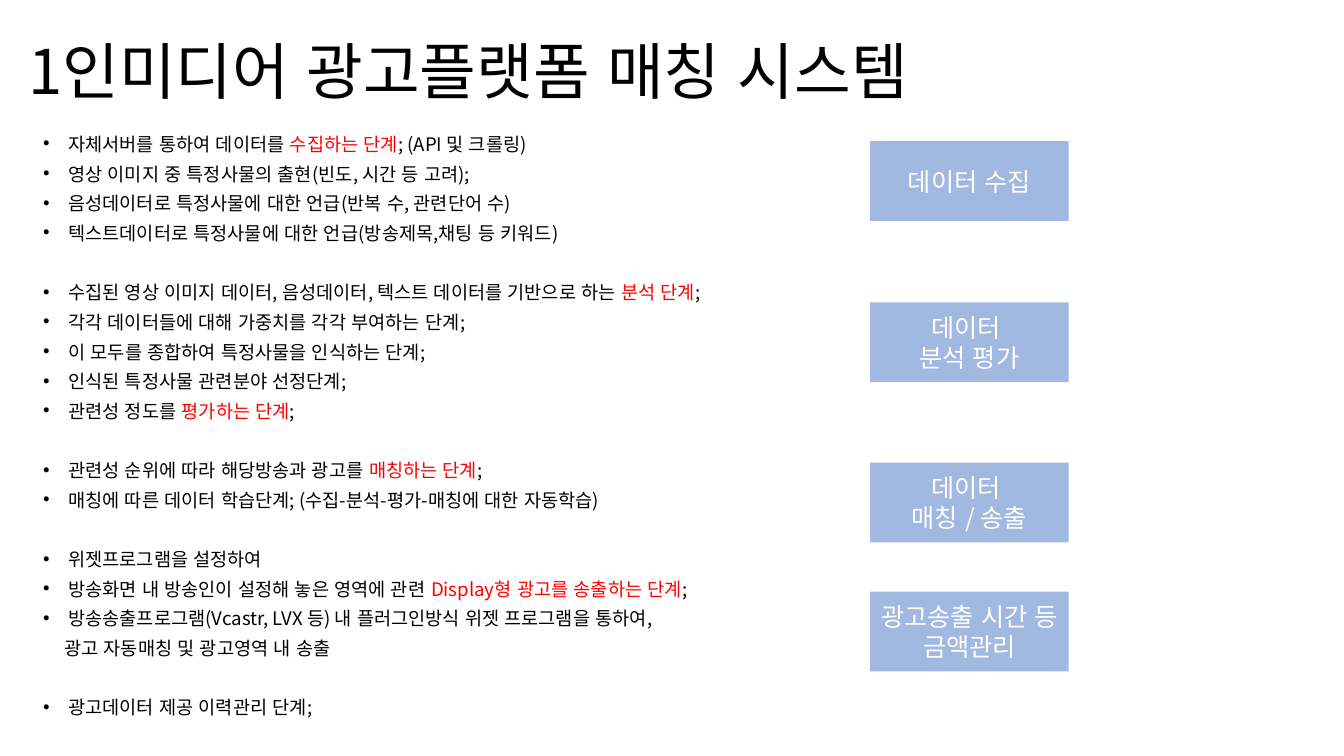
from lxml.etree import SubElement
from pptx import Presentation
from pptx.dml.color import RGBColor
from pptx.enum.lang import MSO_LANGUAGE_ID
from pptx.enum.shapes import MSO_SHAPE
from pptx.enum.text import MSO_ANCHOR, PP_ALIGN
from pptx.oxml.ns import qn
from pptx.util import Inches, Pt

TITLE = "1인미디어 광고플랫폼 매칭 시스템"

# Groups of lines; in a line, every second part is highlighted.
STEP_GROUPS = [
    [
        ("자체서버를 통하여 데이터를 ", "수집하는 단계", "; (API 및 크롤링)"),
        ("영상 이미지 중 특정사물의 출현(빈도, 시간 등 고려);",),
        ("음성데이터로 특정사물에 대한 언급(반복 수, 관련단어 수)",),
        ("텍스트데이터로 특정사물에 대한 언급(방송제목,채팅 등 키워드)",),
    ],
    [
        ("수집된 영상 이미지 데이터, 음성데이터, 텍스트 데이터를 기반으로 하는 ", "분석 단계", ";"),
        ("각각 데이터들에 대해 가중치를 각각 부여하는 단계;",),
        ("이 모두를 종합하여 특정사물을 인식하는 단계;",),
        ("인식된 특정사물 관련분야 선정단계;",),
        ("관련성 정도를 ", "평가하는 단계", ";"),
    ],
    [
        ("관련성 순위에 따라 해당방송과 광고를 ", "매칭하는 단계", ";"),
        ("매칭에 따른 데이터 학습단계; (수집-분석-평가-매칭에 대한 자동학습)",),
    ],
    [
        ("위젯프로그램을 설정하여",),
        ("방송화면 내 방송인이 설정해 놓은 영역에 관련 ", "Display형 광고를 송출하는 단계", ";"),
        ("방송송출프로그램(Vcastr, LVX 등) 내 플러그인방식 위젯 프로그램을 통하여,",),
        ("광고 자동매칭 및 광고영역 내 송출",),
    ],
    [("광고데이터 제공 이력관리 단계;",)],
]
CONTINUATION = STEP_GROUPS[3][3]

# Top edge in inches, lines of the label
STAGES = [
    (1.4, ["데이터 수집"]),
    (3.0, ["데이터 ", "분석 평가"]),
    (4.59, ["데이터 ", "매칭 / 송출"]),
    (5.87, ["광고송출 시간 등 금액관리"]),
]
STAGE_LEFT, STAGE_WIDTH, STAGE_HEIGHT = 8.63, 1.97, 0.79

FONT = "Noto Sans CJK KR"
COLORS = {"text": "000000", "highlight": "FF0000", "stage": "4472C4", "label": "FFFFFF"}
LINE_PITCH, LINE_GAP = 21.2, 10


def add_run(paragraph, text, size, color):
    run = paragraph.add_run()
    run.text = text
    run.font.size = Pt(size)
    run.font.name = FONT
    run.font.language_id = MSO_LANGUAGE_ID.KOREAN
    run.font.color.rgb = RGBColor.from_string(COLORS[color])
    SubElement(run.font._element, qn("a:ea"), typeface=FONT)


def next_paragraph(frame, is_first):
    return frame.paragraphs[0] if is_first else frame.add_paragraph()


def set_indent(paragraph, left, bullet):
    properties = paragraph._p.get_or_add_pPr()
    properties.set("marL", str(Inches(left)))
    properties.set("indent", str(-Inches(left) if bullet else 0))
    if bullet:
        SubElement(properties, qn("a:buFont"), typeface="Arial")
        SubElement(properties, qn("a:buChar"), char="•")


def add_title(slide):
    title = slide.shapes.title
    title.left, title.top = Inches(0.18), Inches(0.01)
    title.width, title.height = Inches(11.5), Inches(1.45)
    title.text_frame.vertical_anchor = MSO_ANCHOR.MIDDLE
    paragraph = title.text_frame.paragraphs[0]
    paragraph.alignment = PP_ALIGN.LEFT
    paragraph.line_spacing = 0.9
    add_run(paragraph, TITLE, 44, "text")


def add_steps(slide):
    box = slide.shapes.add_textbox(Inches(0.33), Inches(0.97), Inches(12.78), Inches(6.33))
    frame = box.text_frame
    frame.word_wrap = True
    frame.margin_top = Inches(0.41)
    for group_no, group in enumerate(STEP_GROUPS):
        for line_no, parts in enumerate(group):
            is_first = group_no == line_no == 0
            paragraph = next_paragraph(frame, is_first)
            paragraph.line_spacing = 0.7
            opens_group = line_no == 0
            gap = LINE_GAP + LINE_PITCH * opens_group
            paragraph.space_before = Pt(0 if is_first else gap)
            bullet = parts is not CONTINUATION
            set_indent(paragraph, 0.25 if bullet else 0.21, bullet)
            for part_no, part in enumerate(parts):
                add_run(paragraph, part, 13.3, "highlight" if part_no % 2 else "text")


def add_stage(slide, top, label):
    stage = slide.shapes.add_shape(
        MSO_SHAPE.FLOWCHART_PROCESS,
        Inches(STAGE_LEFT), Inches(top), Inches(STAGE_WIDTH), Inches(STAGE_HEIGHT),
    )
    stage.shadow.inherit = False
    stage.line.fill.background()
    stage.fill.solid()
    stage.fill.fore_color.rgb = RGBColor.from_string(COLORS["stage"])
    color = stage._element.spPr.find(qn("a:solidFill")).find(qn("a:srgbClr"))
    SubElement(color, qn("a:alpha"), val="50000")
    frame = stage.text_frame
    frame.word_wrap = True
    frame.vertical_anchor = MSO_ANCHOR.MIDDLE
    for line_no, line in enumerate(label):
        paragraph = next_paragraph(frame, line_no == 0)
        paragraph.alignment = PP_ALIGN.CENTER
        add_run(paragraph, line, 18, "label")


def main():
    deck = Presentation()
    deck.slide_width, deck.slide_height = Inches(13.33), Inches(7.5)
    slide = deck.slides.add_slide(deck.slide_layouts[5])
    add_title(slide)
    add_steps(slide)
    for top, label in STAGES:
        add_stage(slide, top, label)
    deck.save("out.pptx")


if __name__ == "__main__":
    main()
